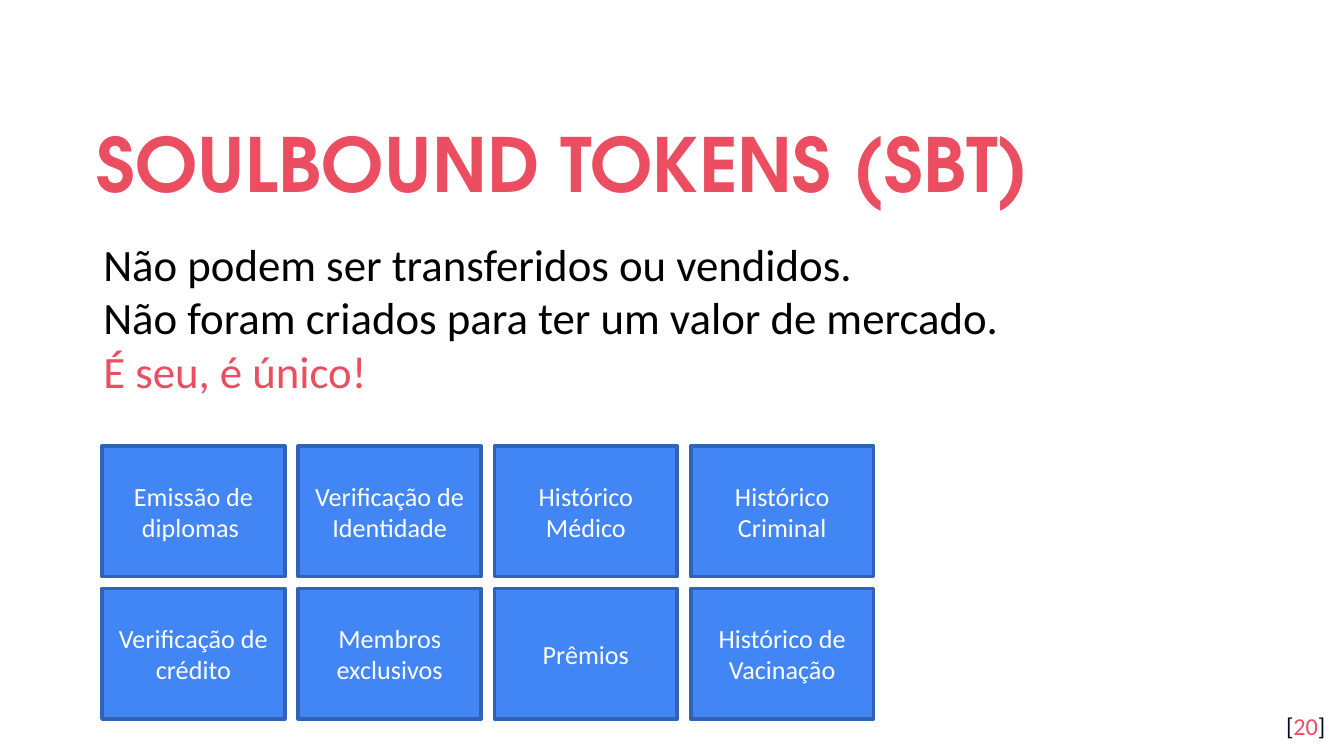
from pptx import Presentation, util as u
from pptx.dml.color import RGBColor
from pptx.enum import shapes, text

COLORS = {"accent": "EA4E60", "ink": "000000", "navy": "040A24",
          "card": "4285F4", "border": "3162B5", "white": "FFFFFF"}
TITLE_FONT, BODY_FONT = "TeX Gyre Adventor", "Calibri"

# Each paragraph is a list of (words, colour) pieces.
TITLE = [[("SOULBOUND TOKENS (SBT)", "accent")]]
PAGE = [[("[", "navy"), ("20", "accent"), ("]", "navy")]]
STATEMENTS = [
    [("Não podem ser transferidos ou vendidos.", "ink")],
    [("Não foram criados para ter um valor de mercado.", "ink")],
    [("É seu, é único!", "accent")],
]
USES = [
    ["Emissão de diplomas ", "Verificação de Identidade", "Histórico Médico", "Histórico Criminal"],
    ["Verificação de crédito", "Membros exclusivos", "Prêmios", "Histórico de Vacinação"],
]
SLIDE_WIDTH = u.Inches(10)
SLIDE_HEIGHT = SLIDE_WIDTH * 9 // 16
GRID_LEFT, GRID_TOP = 0.76, 3.32
CARD_WIDTH, CARD_HEIGHT = 1.36, 0.97
COLUMN_STEP, ROW_STEP = 1.46, 1.06


def color(name):
    return RGBColor.from_string(COLORS[name])


def write(frame, paragraphs, size, font=BODY_FONT, bold=False, align=None, spacing=None):
    frame.word_wrap = True
    for index, pieces in enumerate(paragraphs):
        line = frame.add_paragraph() if index else frame.paragraphs[0]
        line.alignment, line.line_spacing = align, spacing
        for words, ink in pieces:
            run = line.add_run()
            run.text = words
            run.font.name, run.font.size, run.font.bold = font, u.Pt(size), bold
            run.font.color.rgb = color(ink)


def add_text(slide, box, paragraphs, size, inset=None, anchor=text.MSO_ANCHOR.TOP, **style):
    frame = slide.shapes.add_textbox(*map(u.Inches, box)).text_frame
    frame.vertical_anchor = anchor
    if inset is not None:
        frame.margin_left = frame.margin_right = u.Inches(inset)
        frame.margin_top = frame.margin_bottom = u.Inches(inset)
    write(frame, paragraphs, size, **style)


def add_card(slide, row, column, label):
    box = (GRID_LEFT + column * COLUMN_STEP, GRID_TOP + row * ROW_STEP, CARD_WIDTH, CARD_HEIGHT)
    card = slide.shapes.add_shape(shapes.MSO_SHAPE.RECTANGLE, *map(u.Inches, box))
    card.shadow.inherit = False
    card.fill.solid()
    card.fill.fore_color.rgb = color("card")
    card.line.color.rgb = color("border")
    card.line.width = u.Pt(2)
    card.text_frame.vertical_anchor = text.MSO_ANCHOR.MIDDLE
    write(card.text_frame, [[(label, "white")]], 14, align=text.PP_ALIGN.CENTER)


def main():
    deck = Presentation()
    deck.slide_width, deck.slide_height = SLIDE_WIDTH, SLIDE_HEIGHT
    slide = deck.slides.add_slide(deck.slide_layouts[6])
    add_text(slide, (0.62, 0.7, 8.77, 0.92), TITLE, 40, inset=0.1,
             anchor=text.MSO_ANCHOR.MIDDLE, font=TITLE_FONT, bold=True, spacing=1.15)
    add_text(slide, (9.36, 5.19, 0.6, 0.43), PAGE, 13, inset=0.1, align=text.PP_ALIGN.RIGHT)
    add_text(slide, (0.67, 1.71, 9.28, 1.31), STATEMENTS, 24)
    for row, labels in enumerate(USES):
        for column, label in enumerate(labels):
            add_card(slide, row, column, label)
    deck.save("out.pptx")


if __name__ == "__main__":
    main()
